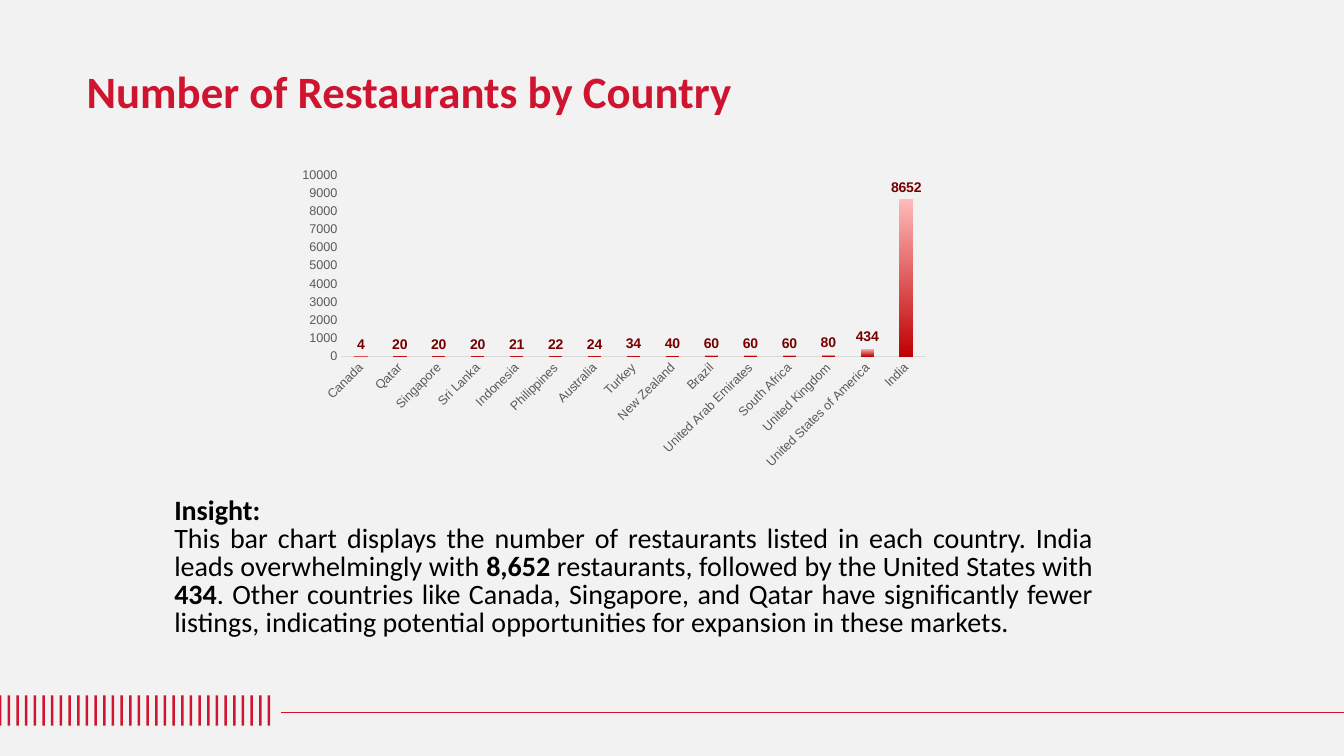
import pptx
import pptx.chart.data
import pptx.dml.color
import pptx.enum.chart
import pptx.enum.shapes
import pptx.enum.text
import pptx.util
from pptx.util import Inches

COLORS = {
    "background": "F2F2F2", "red": "CF142F", "text": "000000", "axis_text": "595959",
    "axis_line": "D9D9D9", "bar_top": "FFBABA", "bar_bottom": "C00000", "label": "760000",
}
RESTAURANTS = {
    "Canada": 4, "Qatar": 20, "Singapore": 20, "Sri Lanka": 20, "Indonesia": 21,
    "Philippines": 22, "Australia": 24, "Turkey": 34, "New Zealand": 40, "Brazil": 60,
    "United Arab Emirates": 60, "South Africa": 60, "United Kingdom": 80,
    "United States of America": 434, "India": 8652,
}
INSIGHT = [
    [("Insight:", True)],
    [
        ("This bar chart displays the number of restaurants listed in each country. "
         "India leads overwhelmingly with ", False),
        ("8,652", True),
        (" restaurants, followed by the United States with ", False),
        ("434", True),
        (". Other countries like Canada, Singapore, and Qatar have significantly fewer "
         "listings, indicating potential opportunities for expansion in these markets.", False),
    ],
]


def rgb(name):
    return pptx.dml.color.RGBColor.from_string(COLORS[name])


def apply_format(target, color=None, **values):
    for attribute, value in values.items():
        setattr(target, attribute, value)
    if color:
        target.color.rgb = rgb(color)


presentation = pptx.Presentation()
apply_format(presentation, slide_width=Inches(13.33), slide_height=Inches(7.5))
slide = presentation.slides.add_slide(presentation.slide_layouts[5])
slide.background.fill.solid()
slide.background.fill.fore_color.rgb = rgb("background")

for index in range(32):
    stripe = slide.shapes.add_shape(
        pptx.enum.shapes.MSO_SHAPE.RECTANGLE,
        Inches(-0.01 + index * 0.086), Inches(6.9), Inches(0.025), Inches(0.3))
    stripe.shadow.inherit = False
    stripe.fill.solid()
    stripe.fill.fore_color.rgb = rgb("red")
    stripe.line.fill.background()

footer_rule = slide.shapes.add_connector(
    pptx.enum.shapes.MSO_CONNECTOR.STRAIGHT,
    Inches(2.79), Inches(7.07), Inches(13.33), Inches(7.07))
apply_format(footer_rule.line, "red", width=pptx.util.Pt(0.75))
footer_rule._element.spPr.append(pptx.oxml.parse_xml(
    '<a:effectLst xmlns:a="http://schemas.openxmlformats.org/drawingml/2006/main"/>'))

title = slide.shapes.title
apply_format(title, left=Inches(0.76), top=Inches(0.63), width=Inches(6.97), height=Inches(0.6))
title.text_frame.text = "Number of Restaurants by Country"
apply_format(title.text_frame, word_wrap=True,
             auto_size=pptx.enum.text.MSO_AUTO_SIZE.NONE,
             vertical_anchor=pptx.enum.text.MSO_ANCHOR.MIDDLE)
heading = title.text_frame.paragraphs[0]
apply_format(heading, alignment=pptx.enum.text.PP_ALIGN.LEFT, line_spacing=0.9)
apply_format(heading.runs[0].font, "red", name="Calibri", size=pptx.util.Pt(32), bold=True)

chart_data = pptx.chart.data.CategoryChartData()
chart_data.categories = list(RESTAURANTS)
chart_data.add_series("Series 1", list(RESTAURANTS.values()))
chart = slide.shapes.add_chart(
    pptx.enum.chart.XL_CHART_TYPE.COLUMN_CLUSTERED,
    Inches(2.87), Inches(1.6), Inches(6.44), Inches(3.12), chart_data).chart
apply_format(chart, has_legend=False, has_title=False)
apply_format(chart.font, "text", name="Arial", size=pptx.util.Pt(10))

for axis in (chart.category_axis, chart.value_axis):
    apply_format(axis, has_major_gridlines=False,
                 major_tick_mark=pptx.enum.chart.XL_TICK_MARK.NONE,
                 minor_tick_mark=pptx.enum.chart.XL_TICK_MARK.NONE)
    apply_format(axis.tick_labels.font, "axis_text", name="Arial", size=pptx.util.Pt(9))
apply_format(chart.category_axis.format.line, "axis_line", width=pptx.util.Pt(0.75))
chart.category_axis._element.txPr.bodyPr.set("rot", "-2700000")
chart.value_axis.format.line.fill.background()
apply_format(chart.value_axis, minimum_scale=0, maximum_scale=10000, major_unit=1000)

plot = chart.plots[0]
apply_format(plot, gap_width=190, overlap=-27, vary_by_categories=False)
country_bars = plot.series[0]
bar_fill = country_bars.format.fill
bar_fill.gradient()
bar_fill.gradient_angle = 270
for stop, position, color in zip(bar_fill.gradient_stops, (0, 1), ("bar_top", "bar_bottom")):
    apply_format(stop, color, position=position)
count_labels = country_bars.data_labels
apply_format(count_labels, show_value=True,
             position=pptx.enum.chart.XL_LABEL_POSITION.OUTSIDE_END)
apply_format(count_labels.font, "label", name="Arial", size=pptx.util.Pt(10), bold=True)

insight = slide.shapes.add_textbox(
    Inches(1.63), Inches(4.89), Inches(9.31), Inches(1.78)).text_frame
insight.word_wrap = True
for index, pieces in enumerate(INSIGHT):
    paragraph = insight.add_paragraph() if index else insight.paragraphs[0]
    apply_format(paragraph, alignment=pptx.enum.text.PP_ALIGN.JUSTIFY,
                 line_spacing=pptx.util.Pt(20))
    for text, bold in pieces:
        run = paragraph.add_run()
        run.text = text
        apply_format(run.font, "text", name="Calibri", size=pptx.util.Pt(20), bold=bold)

presentation.save("out.pptx")
